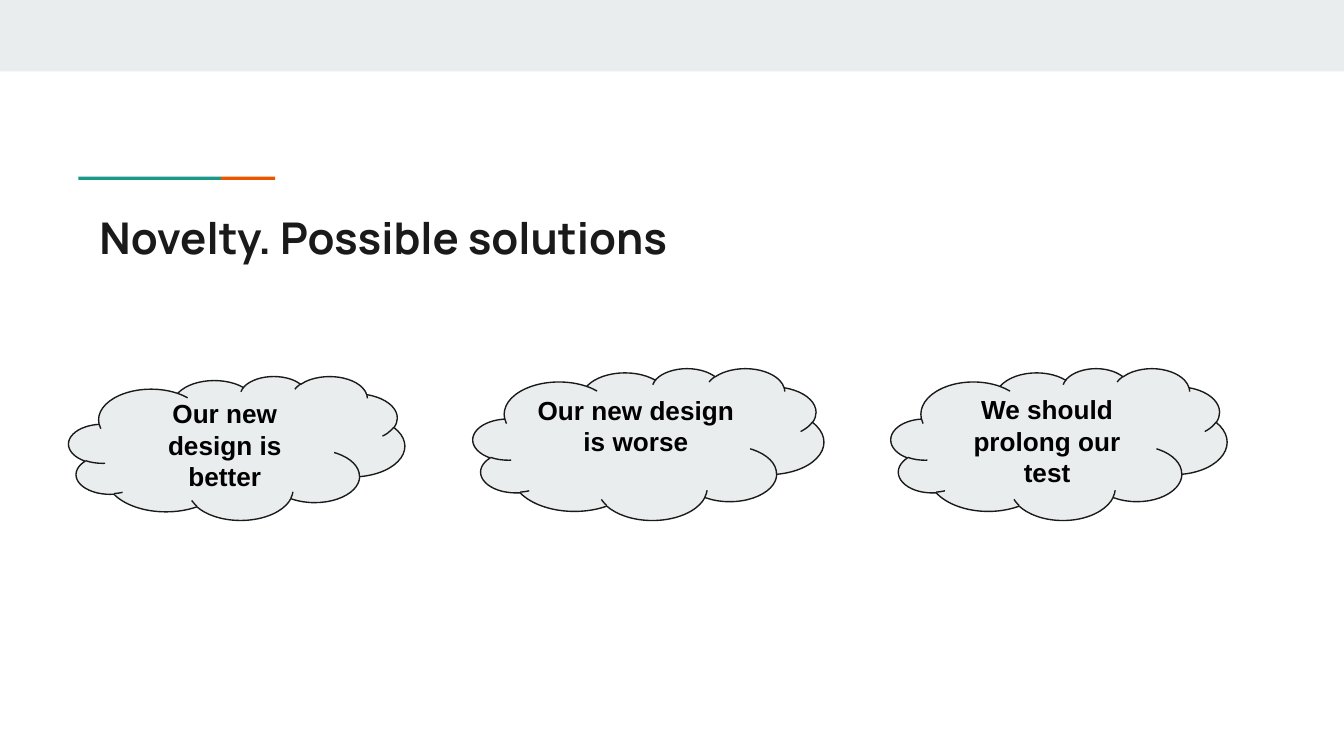
"""Build the slide on possible solutions to the novelty effect."""
from pptx import Presentation
from pptx.dml.color import RGBColor
from pptx.enum.shapes import MSO_SHAPE
from pptx.enum.text import MSO_ANCHOR, MSO_AUTO_SIZE, PP_ALIGN
from pptx.util import Cm, Pt

RECT, CLOUD = MSO_SHAPE.RECTANGLE, MSO_SHAPE.CLOUD
TOP, MIDDLE = MSO_ANCHOR.TOP, MSO_ANCHOR.MIDDLE
LEFT, CENTER = PP_ALIGN.LEFT, PP_ALIGN.CENTER
NO_FIT = MSO_AUTO_SIZE.NONE

TITLE = "Novelty. Possible solutions"
PALE, INK, TEAL, ORANGE = "E9EDEE", "1A1A1A", "1A9988", "EB5600"
INSET = 0.25
CLOUD_BOTTOM = 9.83
BARS = [
    (0, 0, 25.4, 1.35, PALE),
    (1.48, 3.34, 2.7, 0.06, TEAL),
    (4.18, 3.34, 1.02, 0.06, ORANGE),
]
CLOUDS = [
    ("Our new design is better", 1.3, 6.35, 2.72, INSET),
    ("Our new design is worse", 8.94, 6.63, 2.87, 0.82),
    ("We should prolong our test", 16.84, 6.35, 2.87, INSET),
]


def rgb(color):
    return RGBColor.from_string(color)


def add_shape(kind, x, y, w, h, fill, line=None):
    sp = s.shapes.add_shape(kind, Cm(x), Cm(y), Cm(w), Cm(h))
    sp.shadow.inherit = False
    sp.fill.solid()
    sp.fill.fore_color.rgb = rgb(fill)
    if line:
        sp.line.color.rgb = rgb(line)
        sp.line.width = Pt(0.75)
    else:
        sp.line.fill.background()
    return sp


def write(sp, text, font, size, color, align, anchor, bottom=INSET):
    tf = sp.text_frame
    tf.word_wrap = True
    tf.auto_size = NO_FIT
    tf.vertical_anchor = anchor
    tf.margin_left = tf.margin_right = tf.margin_top = Cm(INSET)
    tf.margin_bottom = Cm(bottom)
    p = tf.paragraphs[0]
    p.text = text
    p.alignment = align
    p.font.name = font
    p.font.size = Pt(size)
    p.font.bold = True
    p.font.color.rgb = rgb(color)


prs = Presentation()
prs.slide_width, prs.slide_height = Cm(25.4), Cm(14.29)
s = prs.slides.add_slide(prs.slide_layouts[5])

for *box, color in BARS:
    add_shape(RECT, *box, color)

title = s.shapes.title
title.left, title.top, title.width, title.height = Cm(1.63), Cm(3.73), Cm(21.36), Cm(1.5)
write(title, TITLE, "Manrope", 23.4, INK, LEFT, TOP)

for text, x, w, h, bottom in CLOUDS:
    sp = add_shape(CLOUD, x, CLOUD_BOTTOM - h, w, h, PALE, INK)
    write(sp, text, "Arial", 14, "000000", CENTER, MIDDLE, bottom)

prs.save("out.pptx")
